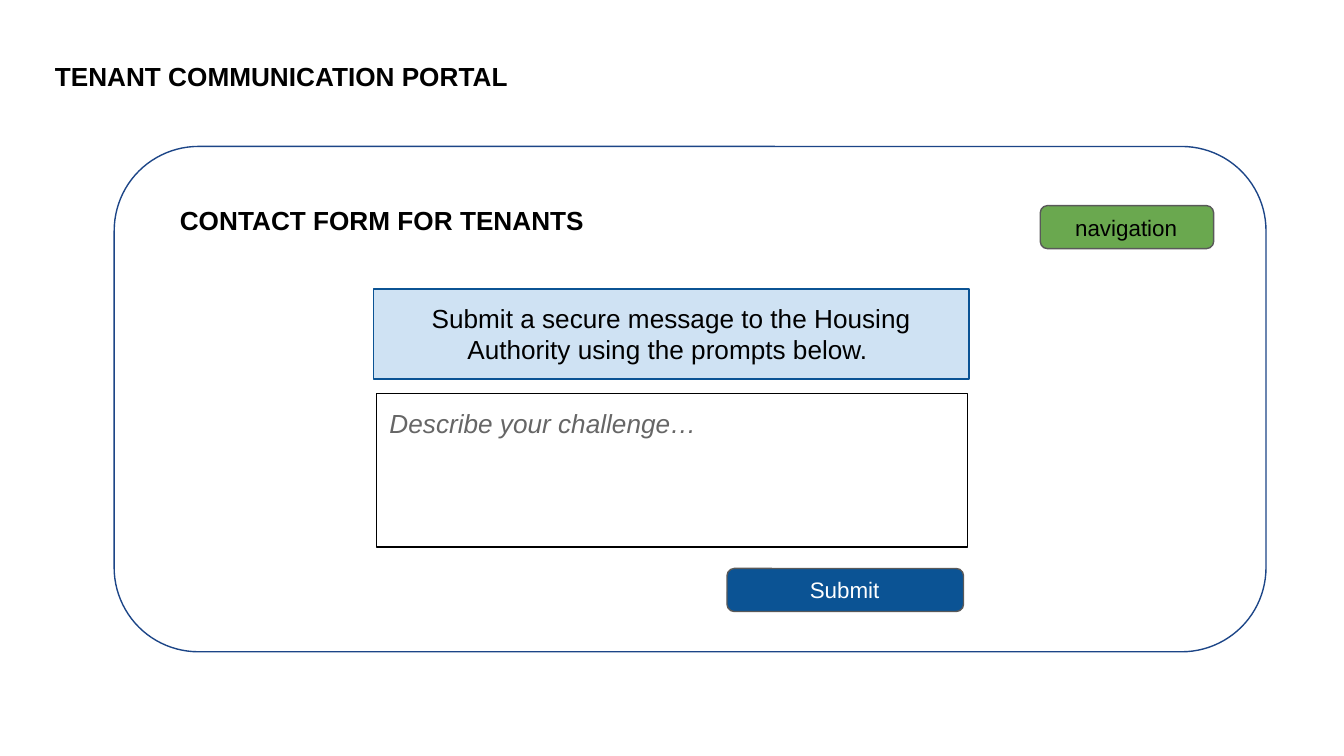
from pptx import Presentation
from pptx import util as u
from pptx.dml.color import RGBColor
from pptx.enum import shapes, text

BLACK = RGBColor(0x00, 0x00, 0x00)
WHITE = RGBColor(0xFF, 0xFF, 0xFF)
GRAY = RGBColor(0x66, 0x66, 0x66)
EDGE = RGBColor(0x59, 0x59, 0x59)
NAVY = RGBColor(0x1C, 0x45, 0x87)
BLUE = RGBColor(0x0B, 0x53, 0x94)
PALE = RGBColor(0xCF, 0xE2, 0xF3)
GREEN = RGBColor(0x6A, 0xA8, 0x4F)
RECT = shapes.MSO_SHAPE.RECTANGLE
ROUND = shapes.MSO_SHAPE.ROUNDED_RECTANGLE
LEFT = text.PP_ALIGN.LEFT
CENTER = text.PP_ALIGN.CENTER

prs = Presentation()
prs.slide_width = u.Inches(10)
prs.slide_height = u.Inches(10) * 9 // 16
s = prs.slides.add_slide(prs.slide_layouts[6])


def add_shape(parent, kind, box, fill, line):
    sp = parent.shapes.add_shape(kind, *[u.Inches(v) for v in box])
    sp.shadow.inherit = False
    if fill is None:
        sp.fill.background()
    else:
        sp.fill.solid()
        sp.fill.fore_color.rgb = fill
    sp.line.color.rgb = line
    sp.line.width = u.Pt(0.75)
    return sp


def write(sp, words, size=14, color=BLACK, bold=False, italic=False, align=LEFT):
    tf = sp.text_frame
    tf.word_wrap = True
    tf.auto_size = text.MSO_AUTO_SIZE.SHAPE_TO_FIT_TEXT
    tf.vertical_anchor = text.MSO_ANCHOR.TOP
    tf.margin_left = tf.margin_right = u.Inches(0.1)
    tf.margin_top = tf.margin_bottom = u.Inches(0.1)
    p = tf.paragraphs[0]
    p.alignment = align
    r = p.add_run()
    r.text = words
    r.font.name = "Arial"
    r.font.size = u.Pt(size)
    r.font.color.rgb = color
    r.font.bold = bold
    r.font.italic = italic


add_shape(s, ROUND, (0.85, 1.09, 8.57, 3.76), WHITE, NAVY)

for words, box in [
    ("TENANT COMMUNICATION PORTAL", (0.31, 0.35, 5.25, 0.44)),
    ("CONTACT FORM FOR TENANTS", (1.24, 1.42, 4.06, 0.44)),
]:
    write(s.shapes.add_textbox(*[u.Inches(v) for v in box]), words, bold=True)

for words, box, label, fill, color in [
    ("navigation", (7.74, 1.53, 1.29, 0.32), (7.81, 1.49, 1.14, 0.4), GREEN, BLACK),
    ("Submit", (5.41, 4.23, 1.76, 0.32), (5.43, 4.19, 1.71, 0.4), BLUE, WHITE),
]:
    button = s.shapes.add_group_shape()
    add_shape(button, ROUND, box, fill, EDGE)
    sp = button.shapes.add_textbox(*[u.Inches(v) for v in label])
    write(sp, words, size=12, color=color, align=CENTER)

sp = add_shape(s, RECT, (2.8, 2.93, 4.4, 1.14), None, BLACK)
write(sp, "Describe your challenge…", color=GRAY, italic=True)
sp.text_frame.auto_size = text.MSO_AUTO_SIZE.NONE

sp = add_shape(s, RECT, (2.78, 2.15, 4.43, 0.67), PALE, BLUE)
write(sp, "Submit a secure message to the Housing Authority using the prompts below. ",
      align=CENTER)

prs.save("out.pptx")
